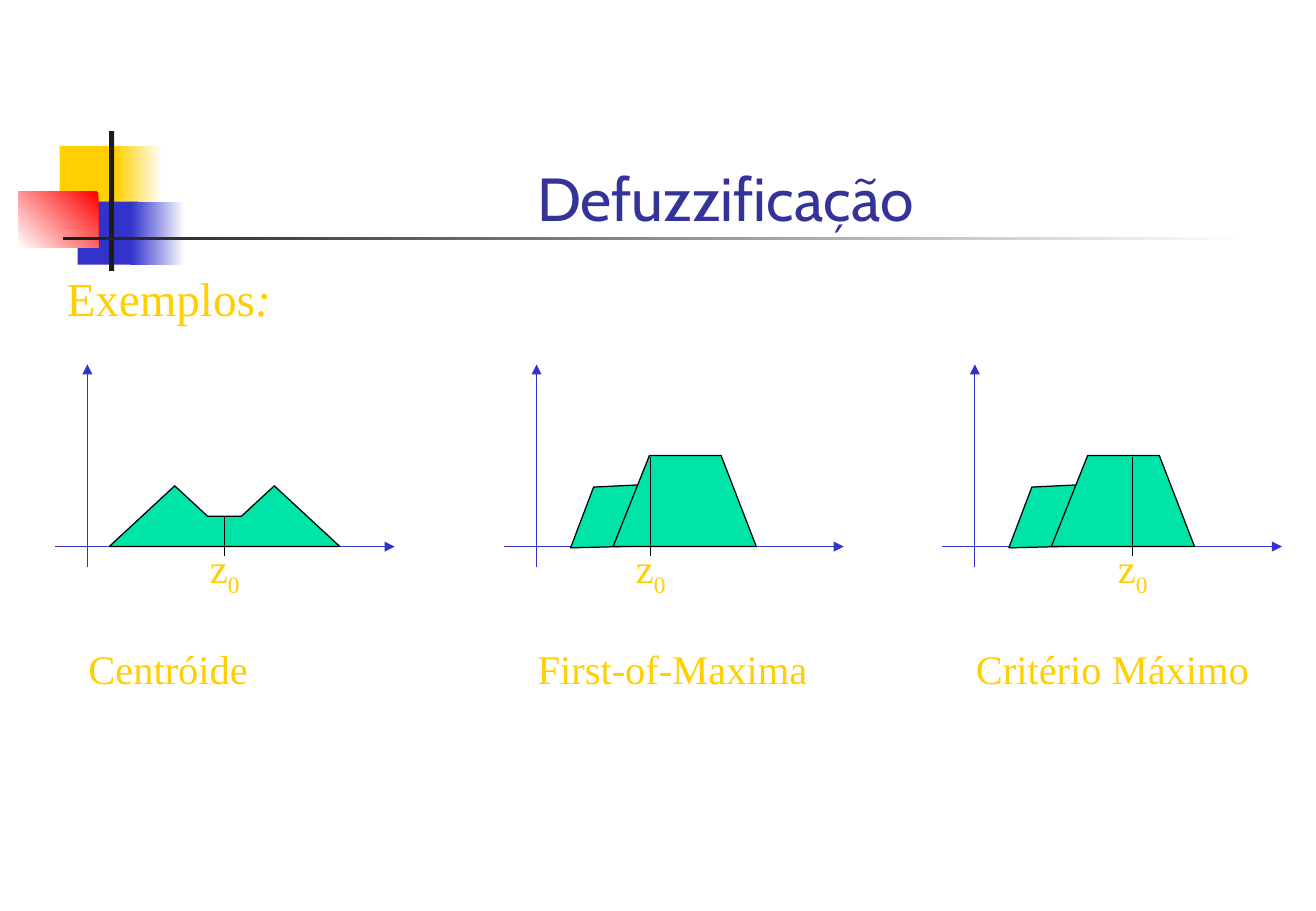
from lxml import etree
from pptx import Presentation
from pptx.dml.color import RGBColor
from pptx.enum.shapes import MSO_CONNECTOR as CONNECTOR, MSO_SHAPE as SHAPE
from pptx.enum.text import MSO_ANCHOR as ANCHOR, MSO_AUTO_SIZE as AUTO_SIZE, PP_ALIGN as ALIGN
from pptx.oxml.ns import qn
from pptx.util import Inches, Pt

YELLOW, BLUE, RED, BLACK, WHITE = "FFCF01", "3333CC", "FF0000", "1C1C1C", "FFFFFF"
GREEN, OUTLINE, TITLE_BLUE = "00E4A8", "000000", "333399"
rgb = RGBColor.from_string


def write(frame, text, size=24, color=YELLOW, font="Times New Roman",
          italic=False, subscript=False, align=ALIGN.LEFT):
    """Append a formatted run to the first paragraph of the frame."""
    paragraph = frame.paragraphs[0]
    paragraph.alignment = align
    run = paragraph.add_run()
    run.text = text
    run.font.size, run.font.name, run.font.italic = Pt(size), font, italic
    run.font.color.rgb = rgb(color)
    if subscript:
        run.font._element.set("baseline", "-25000")


def add_label(left, top, width, height):
    """Add an empty text box that grows with its text and return its frame."""
    frame = slide.shapes.add_textbox(
        Inches(left), Inches(top), Inches(width), Inches(height)).text_frame
    frame.word_wrap = True
    frame.auto_size = AUTO_SIZE.SHAPE_TO_FIT_TEXT
    return frame


prs = Presentation()
prs.slide_width, prs.slide_height = Inches(10.84), Inches(7.5)
slide = prs.slides.add_slide(prs.slide_layouts[5])

# Corner ornament: one colour is solid, two are a gradient with its angle
ornament = [
    (0.49, 1.2, 0.52, 0.52, [YELLOW], 0),
    (0.95, 1.2, 0.39, 0.52, [WHITE, YELLOW], 180),
    (0.64, 1.66, 0.5, 0.52, [BLUE], 0),
    (1.08, 1.66, 0.44, 0.52, [WHITE, BLUE], 180),
    (0.15, 1.58, 0.66, 0.46, [RED, WHITE], 225),
    (0.9, 1.08, 0.04, 1.15, [BLACK], 0),
    (0.52, 1.95, 9.75, 0.03, [WHITE, BLACK], 180),
]
for left, top, width, height, colors, angle in ornament:
    block = slide.shapes.add_shape(
        SHAPE.RECTANGLE, Inches(left), Inches(top), Inches(width), Inches(height))
    block.shadow.inherit = False
    block.line.fill.background()
    if len(colors) == 1:
        block.fill.solid()
        block.fill.fore_color.rgb = rgb(colors[0])
    else:
        block.fill.gradient()
        block.fill.gradient_angle = angle
        for stop, color in zip(block.fill.gradient_stops, colors):
            stop.color.rgb = rgb(color)

# Title and heading
title = slide.shapes.title
title.left, title.top = Inches(1.36), Inches(0.37)
title.width, title.height = Inches(9.23), Inches(1.6)
title.text_frame.vertical_anchor = ANCHOR.BOTTOM
title.text_frame.auto_size = AUTO_SIZE.NONE
write(title.text_frame, "Defuzzificação", size=36, color=TITLE_BLUE,
      font="Cabin", align=ALIGN.CENTER)

heading = add_label(0.45, 2.17, 4.6, 0.57)
write(heading, "Exemplos", size=28)
write(heading, ":", size=28, italic=True)

# Graphs: x values are measured from the left of each graph
twin_peaks = [(0.9, 4.5), (1.44, 4), (1.71, 4.25), (1.99, 4.25), (2.26, 4), (2.8, 4.5)]
low_set = [(1.81, 4.49), (1, 4.51), (1.19, 4.01), (1.6, 3.99)]
high_set = [(2.53, 4.5), (1.35, 4.5), (1.65, 3.75), (2.24, 3.75)]
graphs = [
    ("Centróide", 0, 1.9, [twin_peaks], 1.85, 4.25),
    ("First-of-Maxima", 3.7, 2.71, [low_set, high_set], 1.66, 3.76),
    ("Critério Máximo", 7.31, 2.71, [low_set, high_set], 2.02, 3.76),
]
for method, offset, method_width, areas, z0, z0_top in graphs:
    lines = [
        ((0.72, 4.67), (0.72, 3), BLUE),
        ((0.45, 4.5), (3.25, 4.5), BLUE),
        ((z0, z0_top), (z0, 4.58), OUTLINE),
    ]
    graph_lines = []
    for (x1, y1), (x2, y2), color in lines:
        line = slide.shapes.add_connector(
            CONNECTOR.STRAIGHT, Inches(offset + x1), Inches(y1),
            Inches(offset + x2), Inches(y2))
        line.line.color.rgb = rgb(color)
        line.line.width = Pt(0.75)
        if color == BLUE:
            etree.SubElement(line.line._get_or_add_ln(), qn("a:tailEnd"), type="triangle")
        etree.SubElement(line._element.spPr, qn("a:effectLst"))
        graph_lines.append(line)

    for area in areas:
        points = [(Inches(offset + x), Inches(y)) for x, y in area]
        builder = slide.shapes.build_freeform(*points[0])
        builder.add_line_segments(points[1:], close=True)
        fuzzy_set = builder.convert_to_shape()
        fuzzy_set.shadow.inherit = False
        fuzzy_set.fill.solid()
        fuzzy_set.fill.fore_color.rgb = rgb(GREEN)
        fuzzy_set.line.color.rgb = rgb(OUTLINE)
        fuzzy_set.line.width = Pt(0.75)
    # The z0 mark goes in front of the areas
    slide.shapes._spTree.append(graph_lines[-1]._element)

    z0_label = add_label(offset + z0 - 0.22, 4.42, 0.72, 0.56)
    write(z0_label, "z")
    write(z0_label, "0", subscript=True)
    write(add_label(offset + 0.63, 5.25, method_width, 0.5), method)

prs.save("out.pptx")
